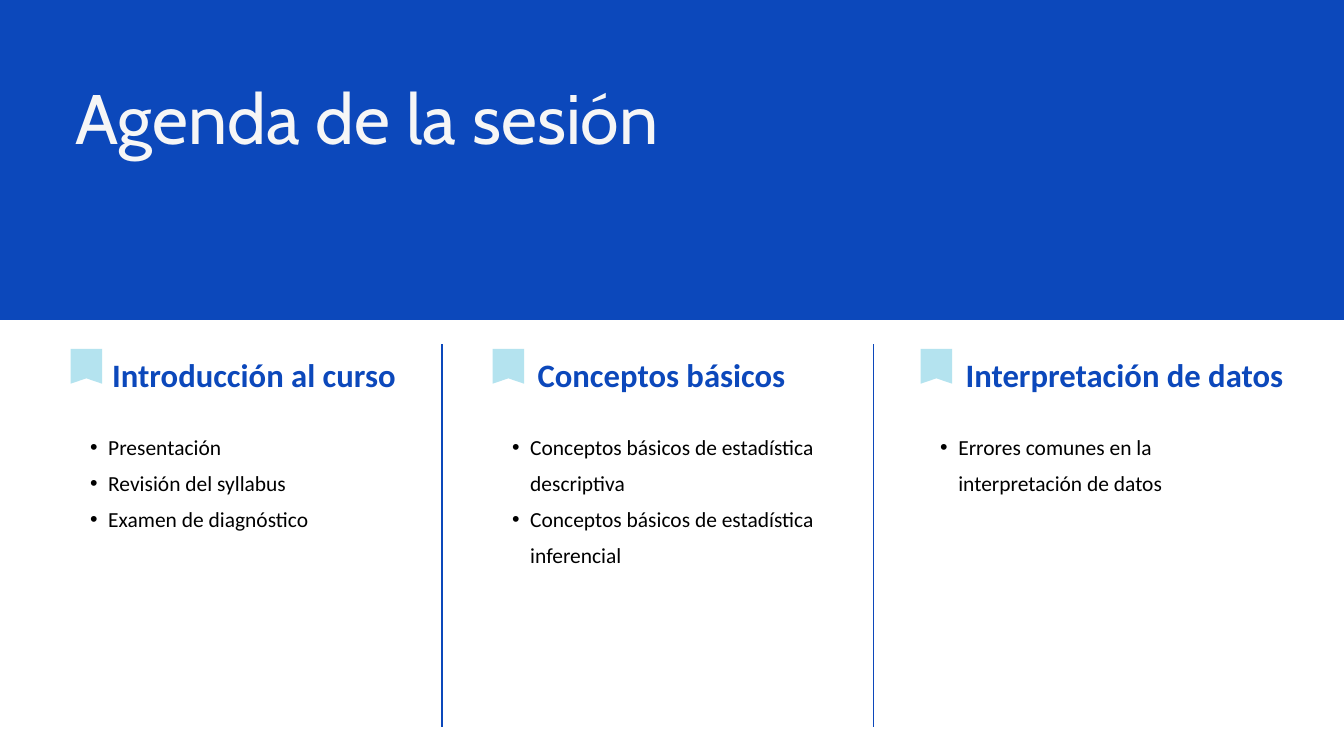
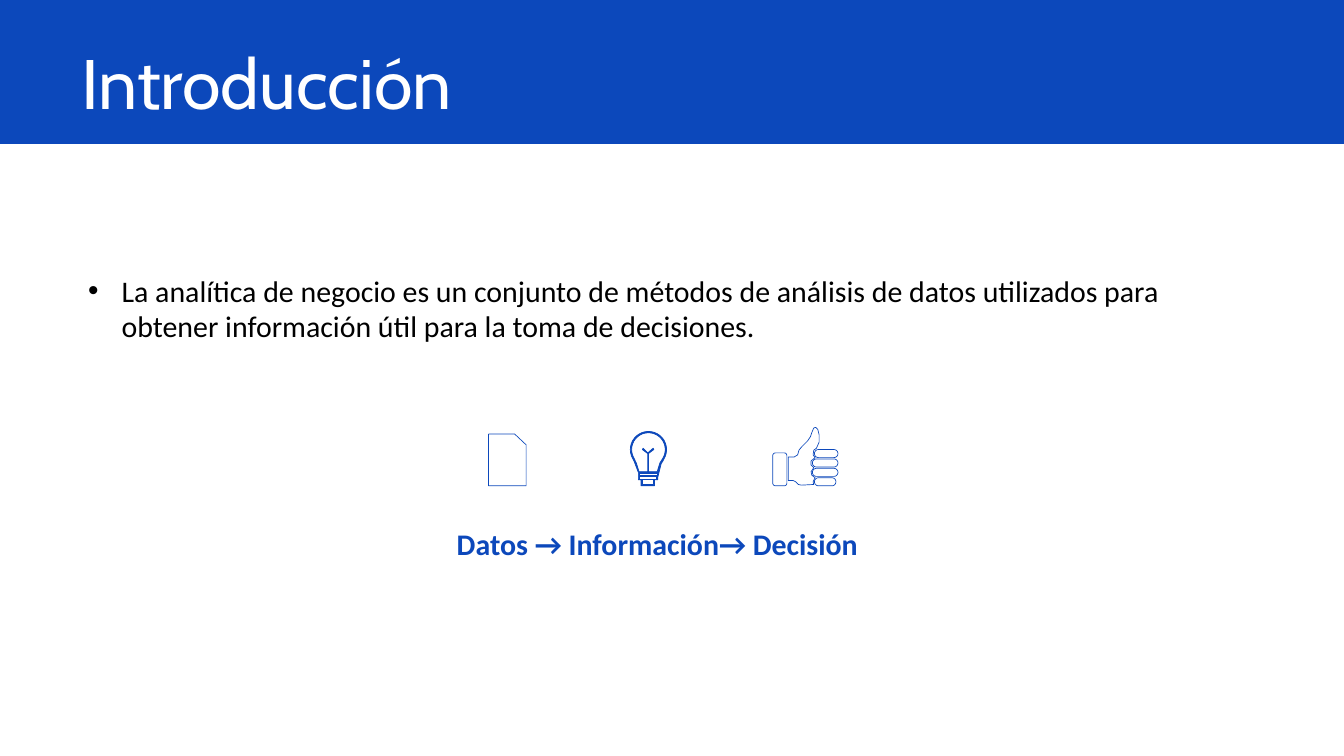
from math import cos, radians, sin

from lxml.etree import SubElement
from pptx import Presentation
from pptx.dml.color import RGBColor
from pptx.enum.shapes import MSO_CONNECTOR, MSO_SHAPE
from pptx.enum.text import MSO_ANCHOR, MSO_AUTO_SIZE, PP_ALIGN
from pptx.oxml.ns import qn
from pptx.util import Inches, Pt

HUES = {"blue": "0C48BB", "sky": "B4E3EF", "white": "FFFFFF",
        "pale": "F6F6F6", "black": "000000"}
WIDE, HIGH = 20, 11.25

# flag left, heading left, heading, list slot, items
TOPICS = [
    (1.05, 1.67, "Introducción al curso", 1,
     ["Presentación", "Revisión del syllabus", "Examen de diagnóstico"]),
    (7.33, 8, "Conceptos básicos", 2,
     ["Conceptos básicos de estadística descriptiva",
      "Conceptos básicos de estadística inferencial"]),
    (13.7, 14.37, "Interpretación de datos", 4,
     ["Errores comunes en la interpretación de datos"]),
]


def hue(name):
    return RGBColor.from_string(HUES[name])


def arc(x, y, r, start, end, step=10):
    """Points on a circle, with angles in degrees, clockwise from the right."""
    return [(x + r * cos(radians(a)), y + r * sin(radians(a)))
            for a in range(start, end + 1, step)]


def box(x, y, w, h):
    return [(x, y), (x + w, y), (x + w, y + h), (x, y + h)]


def pill(x, y, w, h, r):
    """Outline of a rectangle with round corners."""
    left, right, top, low = x + r, x + w - r, y + r, y + h - r
    return (arc(left, top, r, 180, 270, 15) + arc(right, top, r, 270, 360, 15)
            + arc(right, low, r, 0, 90, 15) + arc(left, low, r, 90, 180, 15))


class Deck:
    """Holds the style and the current slide."""

    def __init__(self):
        self.file = Presentation()
        self.file.slide_width = Inches(WIDE)
        self.file.slide_height = Inches(HIGH)
        self.slide = None

    def start(self, layout, depth):
        """Add a slide with a blue band across the top."""
        self.slide = self.file.slides.add_slide(self.file.slide_layouts[layout])
        band = self.slide.shapes.add_shape(
            MSO_SHAPE.RECTANGLE, 0, 0, Inches(WIDE), Inches(depth))
        self.paint(band, "blue")
        tree = self.slide.shapes._spTree
        tree.remove(band._element)
        tree.insert(2, band._element)

    def paint(self, shape, fill=None, line=None):
        shape.shadow.inherit = False
        if fill:
            shape.fill.solid()
            shape.fill.fore_color.rgb = hue(fill)
        else:
            shape.fill.background()
        if line:
            shape.line.color.rgb = hue(line)
            shape.line.width = Pt(0.75)
        else:
            shape.line.fill.background()

    def place(self, shape, area, inset=0):
        """Move a text shape and set up its frame."""
        shape.left, shape.top, shape.width, shape.height = map(Inches, area)
        frame = shape.text_frame
        frame.word_wrap = True
        frame.auto_size = MSO_AUTO_SIZE.NONE
        frame.vertical_anchor = MSO_ANCHOR.TOP
        frame.margin_left = frame.margin_right = Inches(inset)
        frame.margin_top = frame.margin_bottom = Inches(inset / 2)
        return frame

    def style(self, par, size, color, font="Calibri", bold=False, space=1.0,
              align=PP_ALIGN.LEFT, before=0):
        par.alignment = align
        par.line_spacing = space
        par.space_before = Pt(before)
        par.font.size = Pt(size)
        par.font.name = font
        par.font.bold = bold
        par.font.color.rgb = hue(color)

    def bullet(self, par, indent, hang):
        props = par._p.get_or_add_pPr()
        props.set("marL", str(Inches(indent)))
        props.set("indent", str(-Inches(hang)))
        tint = SubElement(props, qn("a:buClr"))
        SubElement(tint, qn("a:srgbClr"), val=HUES["black"])
        SubElement(props, qn("a:buFont"), typeface="Arial")
        SubElement(props, qn("a:buChar"), char="•")

    def title(self, text, area, color, space=1.0):
        frame = self.place(self.slide.shapes.title, area)
        frame.text = text
        self.style(frame.paragraphs[0], 75, color, "Cabin", space=space)

    def head(self, text, area):
        frame = self.place(self.slide.shapes.add_textbox(0, 0, 0, 0), area)
        frame.text = text
        self.style(frame.paragraphs[0], 35, "blue", bold=True, space=1.3)

    def items(self, slot, lines, area, size, indent, hang, space=1.0, inset=0):
        frame = self.place(self.slide.placeholders[slot], area, inset)
        frame.text = "\n".join(lines)
        for par in frame.paragraphs:
            self.bullet(par, indent, hang)
            self.style(par, size, "black", space=space)
        return frame

    def rule(self, x, top, low):
        line = self.slide.shapes.add_connector(
            MSO_CONNECTOR.STRAIGHT, Inches(x), Inches(top), Inches(x), Inches(low))
        line.line.color.rgb = hue("blue")
        line.line.width = Pt(1.5)
        SubElement(line._element.spPr, qn("a:effectLst"))

    def draw(self, rings, fill=None, line=None):
        """Draw closed outlines, given in inches, as one shape."""
        rings = [[(Inches(x), Inches(y)) for x, y in ring] for ring in rings]
        pen = self.slide.shapes.build_freeform(*rings[0][0])
        for i, ring in enumerate(rings):
            if i:
                pen.move_to(*ring[0])
            pen.add_line_segments(ring[1:], close=True)
        self.paint(pen.convert_to_shape(), fill, line)

    def flag(self, x, y):
        w, h = 0.47, 0.52
        self.draw([[(x, y), (x + w, y), (x + w, y + h),
                    (x + w / 2, y + h - 0.08), (x, y + h)]], "sky")


def agenda(deck):
    deck.start(4, 4.76)
    deck.title("Agenda de la sesión", (1.12, 1.11, 12.11, 1.26), "pale")
    for x in (6.58, 13):
        deck.rule(x, 5.12, 10.82)
    for x, left, name, slot, lines in TOPICS:
        deck.flag(x, 5.19)
        deck.head(name, (left, 5.1, 5.05, 0.77))
        deck.items(slot, lines, (x + 0.02, 6.31, 5, 2.17), 23, 0.54, 0.27, 1.4)
    spare = deck.slide.placeholders[3]._element
    spare.getparent().remove(spare)


def bulb(deck):
    shell = arc(9.65, 6.69, 0.27, 150, 390) + [
        (9.86, 6.87), (9.84, 6.9), (9.79, 7.1), (9.79, 7.14), (9.74, 7.14),
        (9.74, 7.23), (9.54, 7.23), (9.54, 7.14), (9.5, 7.14), (9.5, 7.03),
        (9.45, 6.9), (9.44, 6.87)]
    glass = arc(9.65, 6.69, 0.25, 150, 390) + [
        (9.82, 6.89), (9.78, 7.02), (9.65, 7.02), (9.65, 6.75), (9.73, 6.69),
        (9.72, 6.67), (9.64, 6.74), (9.57, 6.67), (9.56, 6.69), (9.64, 6.75),
        (9.64, 7.02), (9.51, 7.02), (9.47, 6.89)]
    base = [box(9.52, 7.04, 0.26, 0.03), box(9.52, 7.09, 0.25, 0.04),
            box(9.56, 7.14, 0.17, 0.07)]
    deck.draw([shell, glass] + base, "blue", "blue")


def thumb(deck):
    palm = [
        (12.1, 7.17), (12.13, 7.11), (12.08, 7.07), (12.07, 7.02), (12.11, 6.96),
        (12.07, 6.92), (12.07, 6.86), (12.13, 6.81), (12.1, 6.77), (12.11, 6.7),
        (12.15, 6.67), (12.19, 6.58), (12.19, 6.47), (12.17, 6.39), (12.14, 6.36),
        (12.11, 6.37), (12.08, 6.44), (12.06, 6.5), (12.02, 6.56), (11.98, 6.6),
        (11.93, 6.65), (11.89, 6.7), (11.87, 6.77), (11.82, 6.8), (11.73, 6.8),
        (11.73, 7.15), (11.8, 7.15), (11.84, 7.17), (11.88, 7.21), (11.93, 7.22),
        (12.11, 7.21)]
    sizes = [(12.12, 0.35), (12.09, 0.38), (12.09, 0.38), (12.12, 0.32)]
    tips = [pill(x, 6.69 + 0.14 * i, w, 0.12, 0.06)
            for i, (x, w) in enumerate(sizes)]
    cuff = pill(11.5, 6.74, 0.21, 0.49, 0.04)
    deck.draw(tips + [palm, cuff], "white", "blue")


def intro(deck):
    deck.start(1, 2.14)
    deck.title("Introducción", (1.21, 0.34, 17.15, 1.51), "white", 1.2)
    frame = deck.items(
        1, ["La analítica de negocio es un conjunto de métodos de análisis de "
            "datos utilizados para obtener información útil para la toma de "
            "decisiones."], (1.21, 4, 17.15, 6.91), 32, 0.5, 0.5, inset=0.1)
    flow = frame.add_paragraph()
    flow.text = "Datos → Información→ Decisión"
    props = flow._p.get_or_add_pPr()
    props.set("marL", "0")
    props.set("indent", "0")
    SubElement(props, qn("a:buNone"))
    deck.style(flow, 32, "blue", bold=True, align=PP_ALIGN.CENTER, before=195)
    bulb(deck)
    deck.draw([[(7.27, 6.46), (7.66, 6.46), (7.83, 6.62), (7.83, 7.23),
                (7.27, 7.23)]], line="blue")
    thumb(deck)


def main():
    deck = Deck()
    agenda(deck)
    intro(deck)
    deck.file.save("out.pptx")


if __name__ == "__main__":
    main()
